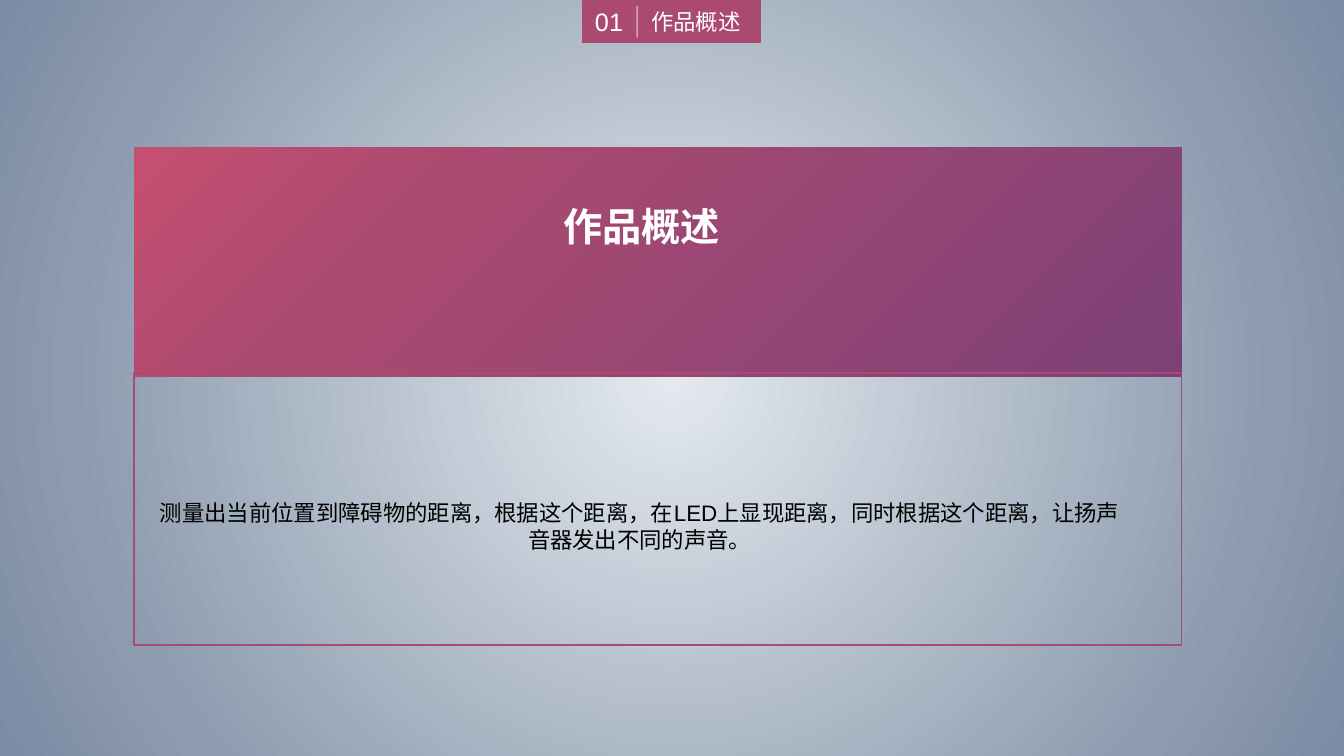
"""Build the project overview slide."""
from dataclasses import dataclass
from typing import Optional

from lxml.etree import SubElement
from pptx import Presentation
from pptx.dml.color import RGBColor
from pptx.dml.fill import FillFormat
from pptx.enum.shapes import MSO_CONNECTOR, MSO_SHAPE
from pptx.enum.text import MSO_ANCHOR, MSO_AUTO_SIZE, PP_ALIGN
from pptx.oxml.ns import qn
from pptx.util import Emu, Pt

COLORS: dict[str, str] = {
    "rose": "AB4A70", "coral": "C54F71", "plum": "7D4178",
    "white": "FFFFFF", "black": "000000",
    "mist": "E4E9EF", "steel": "8C9BAE", "slate": "7B8BA4",
}
FONT = "Arial"
PX = 9144


@dataclass(frozen=True)
class Gradient:
    stops: tuple[tuple[int, str], ...]
    focus: dict[str, int]


@dataclass(frozen=True)
class Panel:
    box: tuple[int, int, int, int]
    fill: Optional[str] = None
    gradient: Optional[Gradient] = None
    line: Optional[str] = None


@dataclass(frozen=True)
class Label:
    box: tuple[int, int, int, int]
    text: str
    size: int
    color: str = "white"
    bold: bool = False
    align: PP_ALIGN = PP_ALIGN.CENTER
    anchor: MSO_ANCHOR = MSO_ANCHOR.TOP


BACKDROP = Gradient(((0, "mist"), (78, "steel"), (100, "slate")),
                    {"l": 50, "t": 50, "r": 50, "b": 50})
BANNER = Gradient(((0, "plum"), (73, "rose"), (100, "coral")),
                  {"l": 100, "t": 100, "r": 0, "b": 0})
TAB = Panel((578, 0, 176, 42), fill="rose", line="rose")
TAB_LABELS = (
    Label((636, 3, 118, 37), "作品概述", 16, align=PP_ALIGN.LEFT,
          anchor=MSO_ANCHOR.MIDDLE),
    Label((578, 1, 52, 40), "01", 18, anchor=MSO_ANCHOR.MIDDLE),
)
DIVIDER = (632, 6, 632, 37)
CARD = (
    Panel((133, 146, 1039, 228), gradient=BANNER),
    Panel((133, 370, 1039, 270), line="rose"),
)
CARD_LABELS = (
    Label((140, 490, 989, 64),
          "测量出当前位置到障碍物的距离，根据这个距离，在LED上显现距离，"
          "同时根据这个距离，让扬声音器发出不同的声音。", 16, "black"),
    Label((243, 196, 787, 57), "作品概述", 28, bold=True),
)


def emu(lengths: tuple[int, ...]) -> list[Emu]:
    """Scale px lengths to EMU."""
    return [Emu(length * PX) for length in lengths]


def rgb(name: str) -> RGBColor:
    """Look up a named colour."""
    return RGBColor.from_string(COLORS[name])


def paint_gradient(fill: FillFormat, owner, gradient: Gradient) -> None:
    """Give a fill circular gradient stops around a focus."""
    fill.gradient()
    grad = owner.xpath(".//a:gradFill")[0]
    for child in list(grad):
        grad.remove(child)
    stops = SubElement(grad, qn("a:gsLst"))
    for position, color in gradient.stops:
        stop = SubElement(stops, qn("a:gs"), pos=str(position * 1000))
        SubElement(stop, qn("a:srgbClr"), val=COLORS[color])
    circle = SubElement(grad, qn("a:path"), {"path": "circle"})
    SubElement(circle, qn("a:fillToRect"),
               {side: str(share * 1000) for side, share in gradient.focus.items()})


def draw_panel(shapes, panel: Panel) -> None:
    """Draw a rectangle."""
    rect = shapes.add_shape(MSO_SHAPE.RECTANGLE, *emu(panel.box))
    rect.shadow.inherit = False
    if panel.gradient:
        paint_gradient(rect.fill, rect._element, panel.gradient)
    elif panel.fill:
        rect.fill.solid()
        rect.fill.fore_color.rgb = rgb(panel.fill)
    else:
        rect.fill.background()
    if panel.line:
        rect.line.color.rgb = rgb(panel.line)
        rect.line.width = Pt(1)
    else:
        rect.line.fill.background()


def draw_label(shapes, label: Label) -> None:
    """Draw one line or paragraph of text."""
    frame = shapes.add_textbox(*emu(label.box)).text_frame
    frame.word_wrap = True
    frame.auto_size = MSO_AUTO_SIZE.SHAPE_TO_FIT_TEXT
    frame.vertical_anchor = label.anchor
    paragraph = frame.paragraphs[0]
    paragraph.alignment = label.align
    run = paragraph.add_run()
    run.text = label.text
    run.font.name = FONT
    run.font.size = Pt(label.size)
    run.font.bold = label.bold
    run.font.color.rgb = rgb(label.color)


def draw_divider(shapes, ends: tuple[int, int, int, int]) -> None:
    """Draw the half-transparent rule in the tab."""
    rule = shapes.add_connector(MSO_CONNECTOR.STRAIGHT, *emu(ends))
    rule.line.color.rgb = rgb("white")
    rule.line.width = Pt(1)
    color = rule._element.xpath(".//a:ln//a:srgbClr")[0]
    SubElement(color, qn("a:alpha"), val="49000")
    SubElement(rule._element.spPr, qn("a:effectLst"))


def main() -> None:
    """Assemble and save the slide."""
    deck = Presentation()
    deck.slide_width, deck.slide_height = emu((1333, 750))
    slide = deck.slides.add_slide(deck.slide_layouts[6])
    paint_gradient(slide.background.fill, slide._element, BACKDROP)
    tab = slide.shapes.add_group_shape().shapes
    draw_panel(tab, TAB)
    for label in TAB_LABELS:
        draw_label(tab, label)
    draw_divider(tab, DIVIDER)
    for panel in CARD:
        draw_panel(slide.shapes, panel)
    for label in CARD_LABELS:
        draw_label(slide.shapes, label)
    deck.save("out.pptx")


if __name__ == "__main__":
    main()
